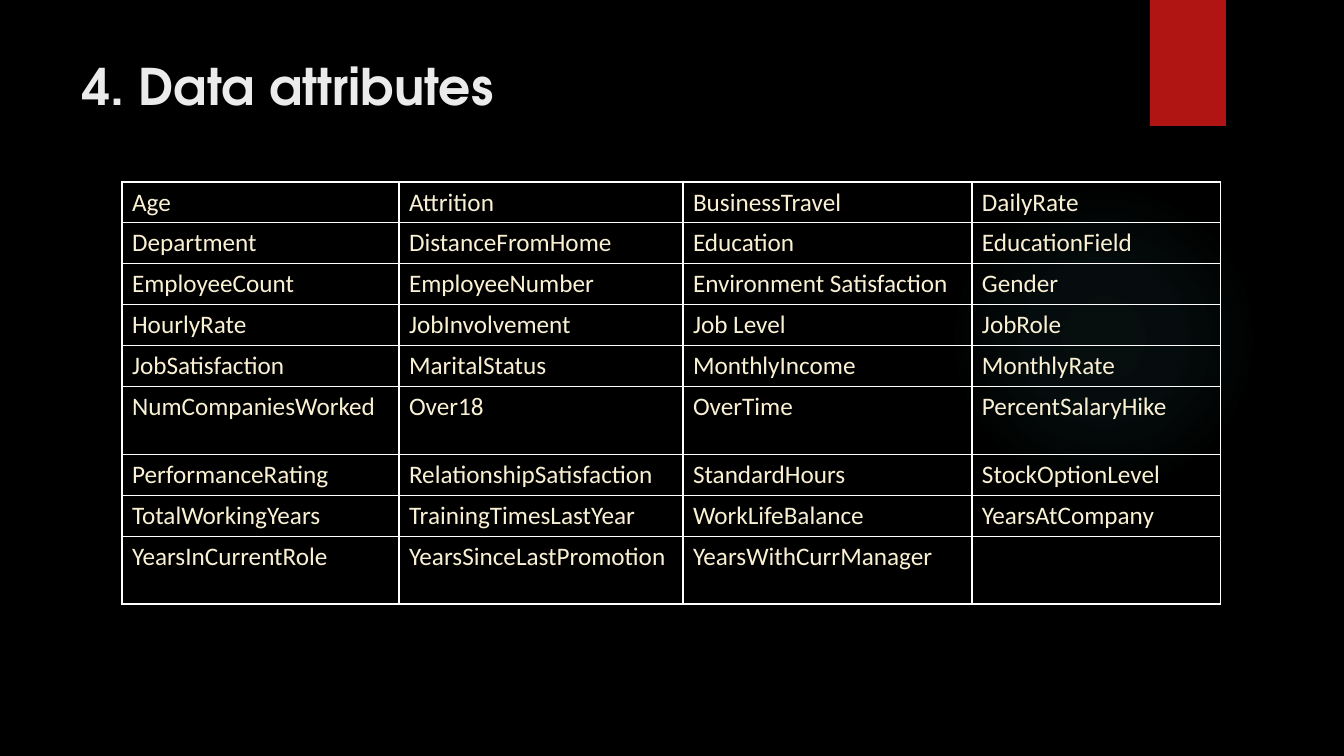
from lxml.etree import SubElement
from pptx import Presentation
from pptx.dml.color import RGBColor
from pptx.enum.shapes import MSO_SHAPE
from pptx.enum.text import MSO_ANCHOR, PP_ALIGN
from pptx.oxml import parse_xml
from pptx.oxml.ns import nsdecls, qn
from pptx.util import Emu, Pt

PX = 914400 / 100.8

BLACK = RGBColor(0x00, 0x00, 0x00)
WHITE = RGBColor(0xFF, 0xFF, 0xFF)
RED = RGBColor(0xB0, 0x15, 0x13)
TEAL = RGBColor(0x50, 0xB9, 0xC1)
TITLE_GREY = RGBColor(0xEB, 0xEB, 0xEB)
CREAM = RGBColor(0xFA, 0xF1, 0xD4)

TITLE_FONT = "TeX Gyre Adventor"
TABLE_FONT = "Calibri"

GLOW_STOPS = [(0, 7), (36, 6), (69, 0)]
COLUMN_WIDTHS = [277, 284, 289, 249]
ROW_HEIGHT = 39
TALL_ROW_HEIGHT = 68
TALL_ROWS = {5, 8}
ATTRIBUTES = [
    ["Age", "Attrition", "BusinessTravel", "DailyRate"],
    ["Department", "DistanceFromHome", "Education", "EducationField"],
    ["EmployeeCount", "EmployeeNumber", "Environment Satisfaction", "Gender"],
    ["HourlyRate", "JobInvolvement", "Job Level", "JobRole"],
    ["JobSatisfaction", "MaritalStatus", "MonthlyIncome", "MonthlyRate"],
    ["NumCompaniesWorked", "Over18", "OverTime", "PercentSalaryHike"],
    ["PerformanceRating", "RelationshipSatisfaction", "StandardHours", "StockOptionLevel"],
    ["TotalWorkingYears", "TrainingTimesLastYear", "WorkLifeBalance", "YearsAtCompany"],
    ["YearsInCurrentRole", "YearsSinceLastPromotion", "YearsWithCurrManager", ""],
]


def px(length):
    return Emu(round(length * PX))


def set_font(font, name, size, color, bold=False):
    font.name = name
    font.size = Pt(size)
    font.color.rgb = color
    font.bold = bold


def add_plain_shape(slide, kind, left, top, width, height):
    shape = slide.shapes.add_shape(kind, px(left), px(top), px(width), px(height))
    shape.shadow.inherit = False
    shape.line.fill.background()
    return shape


def add_glow(slide, left, top, diameter):
    glow = add_plain_shape(slide, MSO_SHAPE.OVAL, left, top, diameter, diameter)
    stops = "".join(
        f'<a:gs pos="{position * 1000}"><a:srgbClr val="{TEAL}">'
        f'<a:alpha val="{alpha * 1000}"/></a:srgbClr></a:gs>'
        for position, alpha in GLOW_STOPS
    )
    gradient = parse_xml(
        f'<a:gradFill {nsdecls("a")}><a:gsLst>{stops}</a:gsLst><a:path path="circle">'
        '<a:fillToRect l="50000" t="50000" r="50000" b="50000"/></a:path></a:gradFill>'
    )
    glow._element.spPr.find(qn("a:prstGeom")).addnext(gradient)


def add_ribbon(slide, left, top, width, height):
    ribbon = add_plain_shape(slide, MSO_SHAPE.RECTANGLE, left, top, width, height)
    ribbon.fill.solid()
    ribbon.fill.fore_color.rgb = RED


def place_title(slide, text, left, top, width, height):
    title = slide.shapes.title
    title.left, title.top, title.width, title.height = map(px, (left, top, width, height))
    title.text_frame.text = text
    title.text_frame.vertical_anchor = MSO_ANCHOR.TOP
    paragraph = title.text_frame.paragraphs[0]
    paragraph.alignment = PP_ALIGN.LEFT
    set_font(paragraph.font, TITLE_FONT, 36, TITLE_GREY, bold=True)


def set_borders(cell, color, width):
    properties = cell._tc.get_or_add_tcPr()
    for side in ("a:lnL", "a:lnR", "a:lnT", "a:lnB"):
        line = SubElement(properties, qn(side), w=str(Pt(width)))
        fill = SubElement(line, qn("a:solidFill"))
        SubElement(fill, qn("a:srgbClr"), val=str(color))


def add_attribute_table(slide, left, top):
    heights = [
        TALL_ROW_HEIGHT if index in TALL_ROWS else ROW_HEIGHT
        for index in range(len(ATTRIBUTES))
    ]
    table = slide.shapes.add_table(
        len(heights), len(COLUMN_WIDTHS),
        px(left), px(top), px(sum(COLUMN_WIDTHS)), px(sum(heights)),
    ).table
    table.first_row = False
    table.horz_banding = False
    for column, width in zip(table.columns, COLUMN_WIDTHS):
        column.width = px(width)
    for row, height, names in zip(table.rows, heights, ATTRIBUTES):
        row.height = px(height)
        for cell, name in zip(row.cells, names):
            cell.text = name
            set_font(cell.text_frame.paragraphs[0].font, TABLE_FONT, 18, CREAM)
            set_borders(cell, WHITE, 1)
            cell.fill.background()


def main():
    presentation = Presentation()
    presentation.slide_width = px(1344)
    presentation.slide_height = px(756)
    slide = presentation.slides.add_slide(presentation.slide_layouts[5])
    slide.background.fill.solid()
    slide.background.fill.fore_color.rgb = BLACK
    add_glow(slide, 949, 184, 310)
    add_ribbon(slide, 1150, 0, 76, 126)
    place_title(slide, "4. Data attributes", 72, 50, 1037, 154)
    add_attribute_table(slide, 122, 182)
    presentation.save("out.pptx")


if __name__ == "__main__":
    main()
